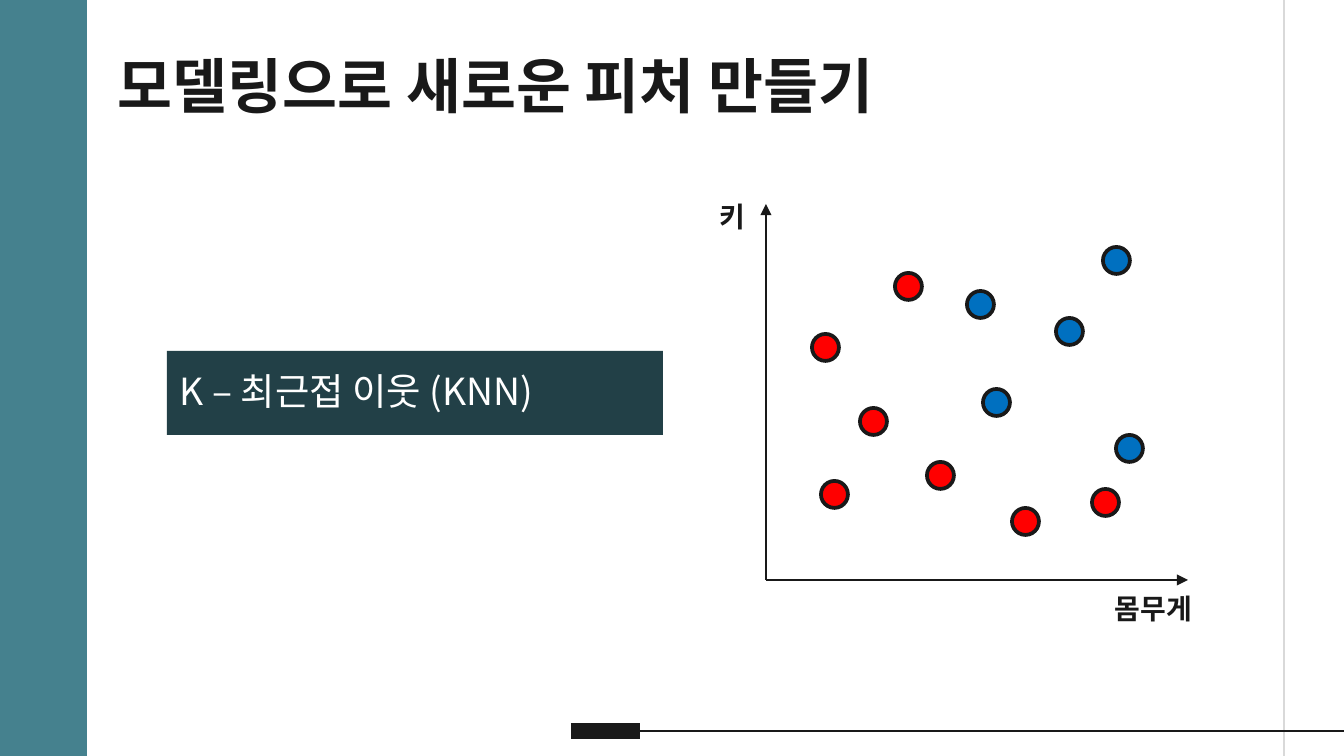
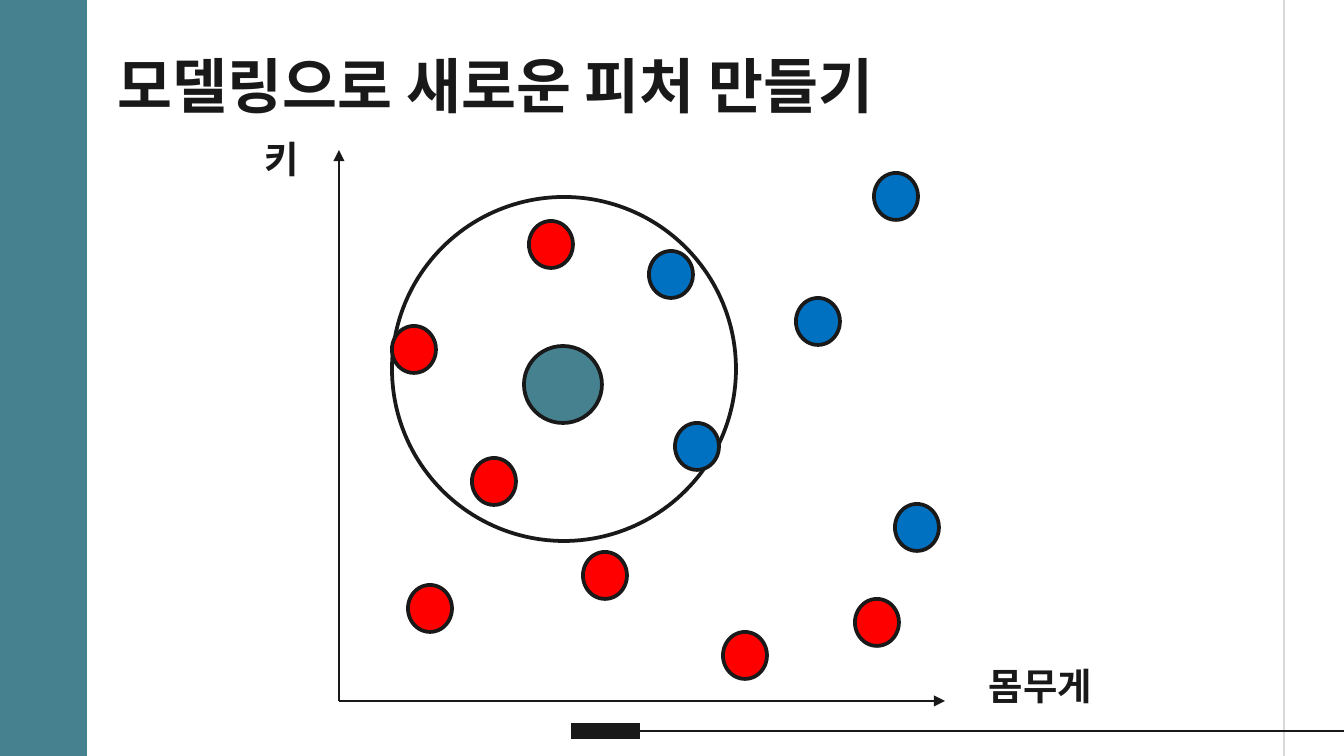
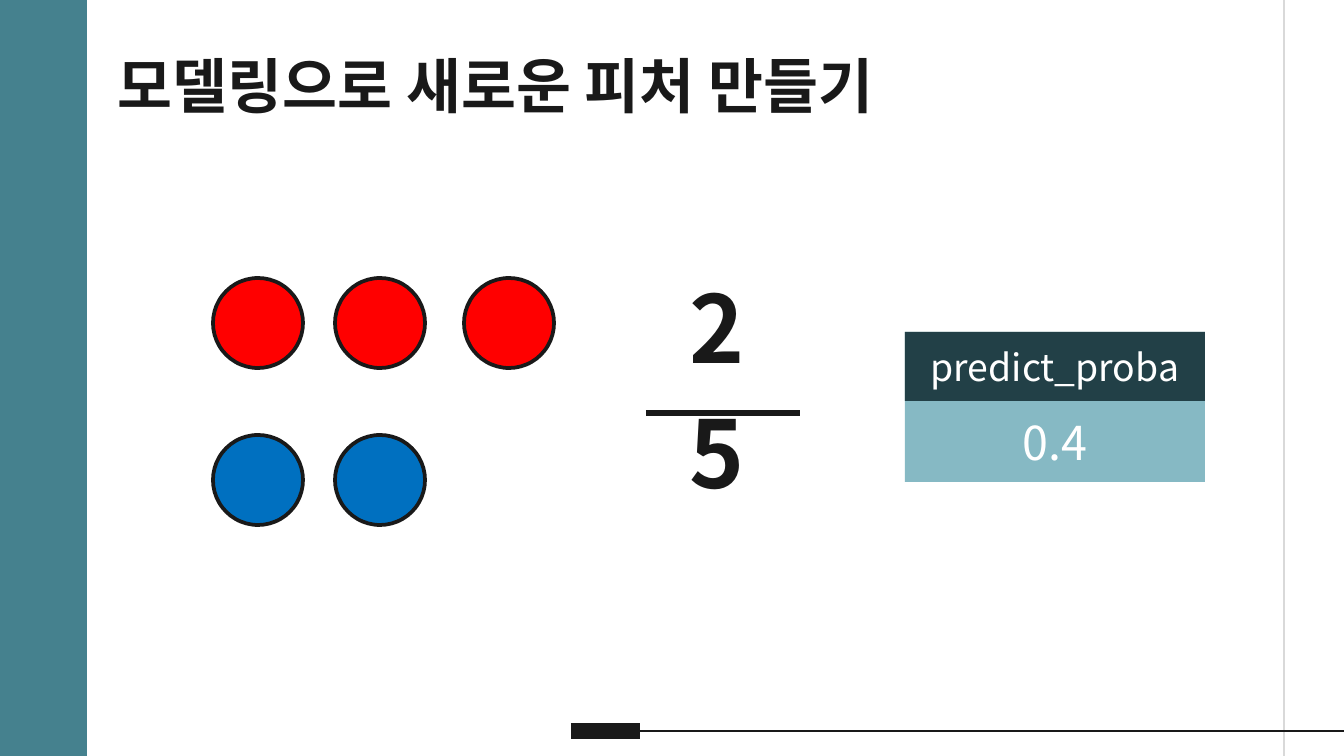
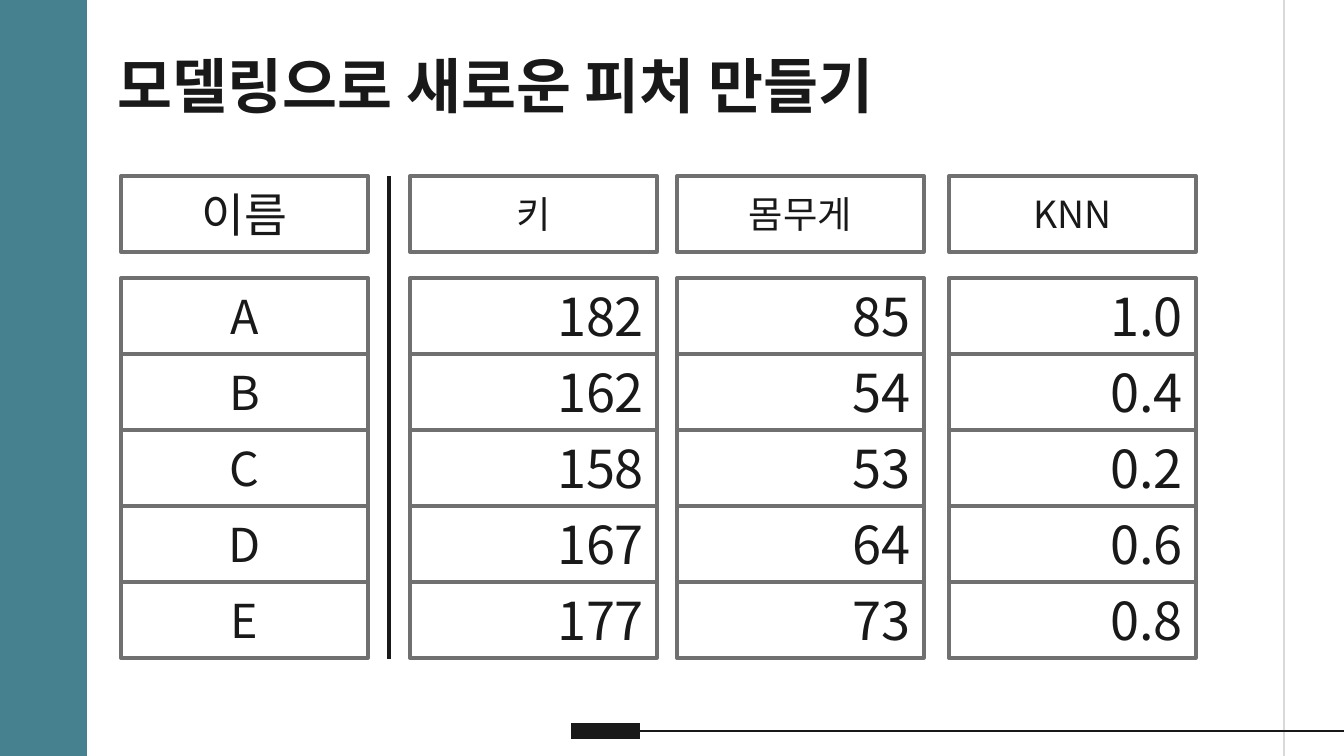
from dataclasses import dataclass

from lxml.etree import SubElement
from pptx import Presentation
from pptx.dml.color import RGBColor
from pptx.enum.shapes import MSO_CONNECTOR, MSO_SHAPE
from pptx.enum.text import MSO_ANCHOR, PP_ALIGN
from pptx.oxml.ns import qn
from pptx.util import Emu, Pt

EMU_PER_PX = 914400 / 134.4
SLIDE_W, SLIDE_H = 1344, 756
INSET = 13
TITLE = "모델링으로 새로운 피처 만들기"
HEIGHT, WEIGHT = "키", "몸무게"


@dataclass(frozen=True)
class Theme:
    font: str = "Noto Sans CJK KR"
    ink: str = "191919"
    white: str = "FFFFFF"
    teal: str = "45818E"
    dark_teal: str = "224047"
    light_teal: str = "86B9C4"
    guide: str = "D9D9D9"
    border: str = "707070"
    red: str = "FF0000"
    blue: str = "0070C0"
    title_size: int = 32
    fraction_size: int = 50
    value_size: int = 28
    name_size: int = 25
    label_size: int = 20
    small_size: int = 15
    hairline: float = 0.75
    divider: float = 2.25
    outline: int = 2
    fraction_bar: int = 3
    footer_mark: int = 9
    tight: float = 0.9


THEME = Theme()


def px(length):
    return Emu(round(length * EMU_PER_PX))


def color(code):
    return RGBColor.from_string(code)


def write(shape, lines, size, ink=THEME.ink, bold=False, align=PP_ALIGN.LEFT,
          anchor=MSO_ANCHOR.TOP, spacing=1.0, gap=0, top=INSET):
    """Fill a shape with paragraphs, gap points apart."""
    frame = shape.text_frame
    frame_format = {
        "word_wrap": True, "vertical_anchor": anchor,
        "margin_left": px(INSET), "margin_right": px(INSET),
        "margin_top": px(top), "margin_bottom": px(INSET if top == INSET else 0),
    }
    for key, value in frame_format.items():
        setattr(frame, key, value)
    for index, line in enumerate(lines):
        paragraph = frame.add_paragraph() if index else frame.paragraphs[0]
        paragraph.alignment = align
        paragraph.line_spacing = spacing
        if index and gap:
            paragraph.space_before = Pt(gap)
        run = paragraph.add_run()
        run.text = line
        font_format = {"name": THEME.font, "size": Pt(size), "bold": bold}
        for key, value in font_format.items():
            setattr(run.font, key, value)
        run.font.color.rgb = color(ink)
        SubElement(run.font._element, qn("a:ea"), typeface=THEME.font)


def add_text(slide, box, lines, size, **style):
    text = slide.shapes.add_textbox(*map(px, box))
    write(text, lines, size, bold=True, spacing=THEME.tight, **style)


def add_figure(slide, kind, box, fill=None, outline=None):
    figure = slide.shapes.add_shape(kind, *map(px, box))
    figure.shadow.inherit = False
    if fill:
        figure.fill.solid()
        figure.fill.fore_color.rgb = color(fill)
    else:
        figure.fill.background()
    if outline:
        figure.line.color.rgb = color(outline)
        figure.line.width = Pt(THEME.outline)
    else:
        figure.line.fill.background()
    return figure


def add_panel(slide, box, text, size, fill, outline=None, **style):
    panel = add_figure(slide, MSO_SHAPE.RECTANGLE, box, fill, outline)
    write(panel, [text], size, anchor=MSO_ANCHOR.MIDDLE, **style)


def add_line(slide, start, end, width=THEME.hairline, ink=THEME.ink, arrow=False):
    line = slide.shapes.add_connector(
        MSO_CONNECTOR.STRAIGHT, *map(px, (*start, *end)))
    line.line.color.rgb = color(ink)
    line.line.width = Pt(width)
    if arrow:
        SubElement(line.line._get_or_add_ln(), qn("a:tailEnd"), type="triangle")
    SubElement(line._element.spPr, qn("a:effectLst"))


def add_dots(slide, corners, fill, width, height):
    for left, top in corners:
        add_figure(slide, MSO_SHAPE.OVAL, (left, top, width, height), fill, THEME.ink)


def add_axes(slide, origin, height_top, weight_right, height_box, weight_box, size):
    left, bottom = origin
    add_line(slide, origin, (left, height_top), arrow=True)
    add_line(slide, origin, (weight_right, bottom), arrow=True)
    add_text(slide, height_box, [HEIGHT], size)
    add_text(slide, weight_box, [WEIGHT], size)


def add_base(deck):
    """Start a slide with the side band, guide, footer rule and title."""
    slide = deck.slides.add_slide(deck.slide_layouts[6])
    add_figure(slide, MSO_SHAPE.RECTANGLE, (0, 0, 87, SLIDE_H), THEME.teal)
    add_line(slide, (1284, 0), (1284, SLIDE_H), ink=THEME.guide)
    add_line(slide, (571, 731), (640, 731), THEME.footer_mark)
    add_line(slide, (640, 731), (SLIDE_W, 731))
    add_text(slide, (105, 44, 898, 85), [TITLE], THEME.title_size)
    return slide


def build_introduction(deck):
    slide = add_base(deck)
    add_panel(slide, (167, 351, 496, 84), "K – 최근접 이웃 (KNN)", THEME.label_size,
              THEME.dark_teal, ink=THEME.white, spacing=THEME.tight)
    reds = [(812, 334), (860, 408), (895, 273), (821, 481),
            (1092, 489), (1012, 508), (927, 462)]
    blues = [(1116, 435), (1103, 247), (967, 291), (1056, 318), (983, 389)]
    add_dots(slide, reds, THEME.red, 27, 27)
    add_dots(slide, blues, THEME.blue, 27, 27)
    add_axes(slide, (766, 580), 204, 1188, (706, 190, 55, 85),
             (1102, 582, 200, 85), THEME.small_size)


def build_neighbourhood(deck):
    slide = add_base(deck)
    add_figure(slide, MSO_SHAPE.OVAL, (524, 346, 78, 77), THEME.teal, THEME.ink)
    add_figure(slide, MSO_SHAPE.OVAL, (392, 197, 344, 344), outline=THEME.ink)
    add_axes(slide, (339, 701), 150, 945, (251, 128, 81, 124),
             (976, 655, 289, 100), THEME.label_size)
    reds = [(472, 458), (408, 585), (855, 599), (723, 632),
            (583, 552), (529, 221), (392, 326)]
    blues = [(895, 504), (874, 173), (796, 298), (649, 251), (675, 423)]
    add_dots(slide, reds, THEME.red, 44, 47)
    add_dots(slide, blues, THEME.blue, 44, 47)


def build_probability(deck):
    slide = add_base(deck)
    columns = (213, 335, 464)
    add_dots(slide, [(left, 278) for left in columns], THEME.red, 90, 90)
    add_dots(slide, [(left, 435) for left in columns[:2]], THEME.blue, 90, 90)

    left, top, width, heading_height = 905, 332, 300, 69
    centred = {"ink": THEME.white, "align": PP_ALIGN.CENTER}
    add_panel(slide, (left, top, width, 150), "0.4", THEME.name_size,
              THEME.light_teal, top=heading_height, **centred)
    add_panel(slide, (left, top, width, heading_height), "predict_proba",
              THEME.label_size, THEME.dark_teal, **centred)

    add_text(slide, (677, 270, 128, 85), ["2", "5"], THEME.fraction_size, gap=13)
    add_line(slide, (646, 413), (800, 413), THEME.fraction_bar)


def build_feature_table(deck):
    slide = add_base(deck)
    cell_width, cell_height = 247, 76
    heading_top, first_row_top = 176, 278
    centre, right = PP_ALIGN.CENTER, PP_ALIGN.RIGHT
    columns = [
        (121, "이름", THEME.name_size, "ABCDE", THEME.name_size, centre),
        (410, HEIGHT, THEME.label_size, ("182", "162", "158", "167", "177"),
         THEME.value_size, right),
        (677, WEIGHT, THEME.label_size, ("85", "54", "53", "64", "73"),
         THEME.value_size, right),
        (949, "KNN", THEME.label_size, ("1.0", "0.4", "0.2", "0.6", "0.8"),
         THEME.value_size, right),
    ]
    for left, heading, heading_size, values, size, align in columns:
        add_panel(slide, (left, heading_top, cell_width, cell_height), heading,
                  heading_size, THEME.white, THEME.border, align=centre)
        for row, value in enumerate(values):
            top = first_row_top + row * cell_height
            add_panel(slide, (left, top, cell_width, cell_height), value,
                      size, THEME.white, THEME.border, align=align)
    add_line(slide, (389, heading_top), (389, 659), THEME.divider)


def main():
    deck = Presentation()
    deck.slide_width, deck.slide_height = px(SLIDE_W), px(SLIDE_H)
    build_introduction(deck)
    build_neighbourhood(deck)
    build_probability(deck)
    build_feature_table(deck)
    deck.save("out.pptx")


if __name__ == "__main__":
    main()
